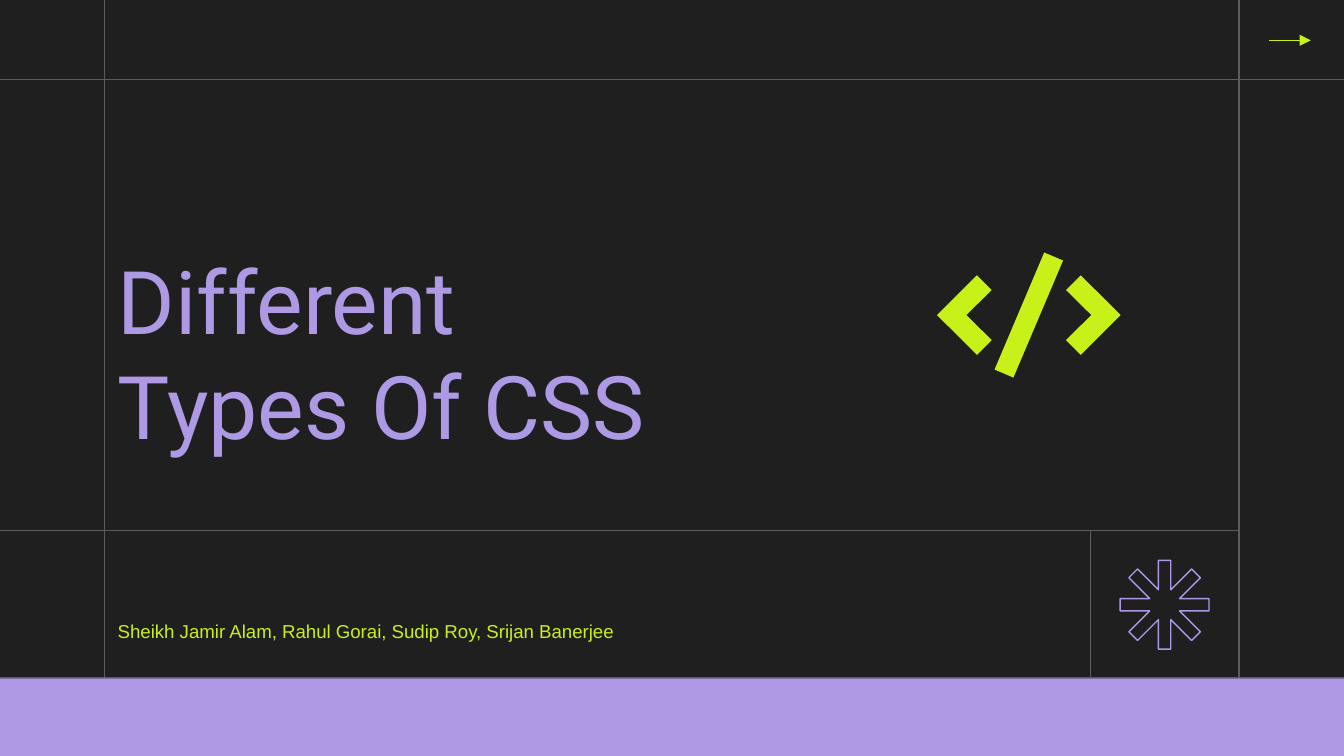
from math import cos, pi, sin, tan

from lxml import etree
from pptx import Presentation
from pptx.dml.color import RGBColor
from pptx.enum.shapes import MSO_CONNECTOR, MSO_SHAPE
from pptx.enum.text import MSO_ANCHOR
from pptx.oxml.ns import qn
from pptx.util import Pt

STRAIGHT = MSO_CONNECTOR.STRAIGHT
RECTANGLE = MSO_SHAPE.RECTANGLE
BOTTOM = MSO_ANCHOR.BOTTOM

THEME = {
    "dark": RGBColor.from_string("1F1F1F"),
    "grid": RGBColor.from_string("5C5C5C"),
    "purple": RGBColor.from_string("AD99E4"),
    "lime": RGBColor.from_string("C8F119"),
    "title_size": Pt(47),
    "names_size": Pt(10),
    "line_width": Pt(0.75),
}
W, H = 720, 405


def add_line(x1, y1, x2, y2, color):
    line = s.shapes.add_connector(STRAIGHT, Pt(x1), Pt(y1), Pt(x2), Pt(y2))
    line.line.color.rgb = THEME[color]
    line.line.width = THEME["line_width"]
    etree.SubElement(line._element.spPr, qn("a:effectLst"))
    return line


def add_outline(shapes, cx, cy, offsets, fill, line=None):
    points = [(Pt(cx + dx), Pt(cy + dy)) for dx, dy in offsets]
    builder = shapes.build_freeform(*points[0])
    builder.add_line_segments(points[1:], close=True)
    sp = builder.convert_to_shape()
    sp.shadow.inherit = False
    sp.fill.solid()
    sp.fill.fore_color.rgb = THEME[fill]
    if line:
        sp.line.color.rgb = THEME[line]
        sp.line.width = THEME["line_width"]
    else:
        sp.line.fill.background()


prs = Presentation()
prs.slide_width, prs.slide_height = Pt(W), Pt(H)
s = prs.slides.add_slide(prs.slide_layouts[6])
s.background.fill.solid()
s.background.fill.fore_color.rgb = THEME["dark"]

# Grid lines
left, right, top, middle, band_top = 56, 663.8, 42.5, 284.4, 363.4
for x in (left, right):
    add_line(x, 0, x, H, "grid")
for y in (top, band_top - 0.4):
    add_line(W, y, 0, y, "grid")

# Bottom band
sp = s.shapes.add_shape(RECTANGLE, 0, Pt(band_top), Pt(W), Pt(H - band_top))
sp.shadow.inherit = False
sp.fill.solid()
sp.fill.fore_color.rgb = THEME["purple"]
sp.line.fill.background()

# Title
sp = s.shapes.add_textbox(Pt(left), Pt(82.8), Pt(451.4), Pt(169.2))
tf = sp.text_frame
tf.word_wrap = True
tf.vertical_anchor = BOTTOM
tf.margin_left = tf.margin_right = tf.margin_top = tf.margin_bottom = Pt(7.2)
p = tf.paragraphs[0]
for i, text in enumerate(("Different", "Types Of CSS")):
    if i:
        p.add_line_break()
    r = p.add_run()
    r.text = text
    r.font.name = "Roboto"
    r.font.size = THEME["title_size"]
    r.font.color.rgb = THEME["purple"]

# Asterisk: eight equal arms, meeting where their sides cross
half, reach = 3.3, 23.8
notch = half / tan(pi / 8)
star = []
for arm in range(8):
    a = arm * pi / 4
    for x, y in ((-half, -reach), (half, -reach), (half, -notch)):
        star.append((x * cos(a) - y * sin(a), x * sin(a) + y * cos(a)))
add_outline(s.shapes, 623.9, 324, star, "dark", "purple")

# Footer lines and arrow
add_line(right, middle, 0, middle, "grid")
add_line(584.2, band_top, 584.2, middle, "grid")
arrow = add_line(679.8, 21.6, 702.2, 21.6, "lime")
etree.SubElement(arrow.line._get_or_add_ln(), qn("a:tailEnd"), type="triangle")

# Code symbol: slash and two mirrored chevrons
icon = s.shapes.add_group_shape()
slash = [(8.2, -33.5), (-18.4, 29.2), (-8.3, 33.5), (18.3, -29.2)]
chevron = [(-27.8, -21.3), (-49.2, 0), (-27.8, 21.3),
           (-19.9, 13.4), (-33.5, 0), (-19.9, -13.4)]
mirrored = [(-x, y) for x, y in chevron]
for offsets in (slash, chevron, mirrored):
    add_outline(icon.shapes, 551.2, 168.8, offsets, "lime")

# Names
sp = s.shapes.add_textbox(Pt(left), Pt(328.3), Pt(364.3), Pt(19.4))
tf = sp.text_frame
tf.word_wrap = True
r = tf.paragraphs[0].add_run()
r.text = "Sheikh Jamir Alam, Rahul Gorai, Sudip Roy, Srijan Banerjee"
r.font.name = "Arial"
r.font.size = THEME["names_size"]
r.font.color.rgb = THEME["lime"]

prs.save("out.pptx")
